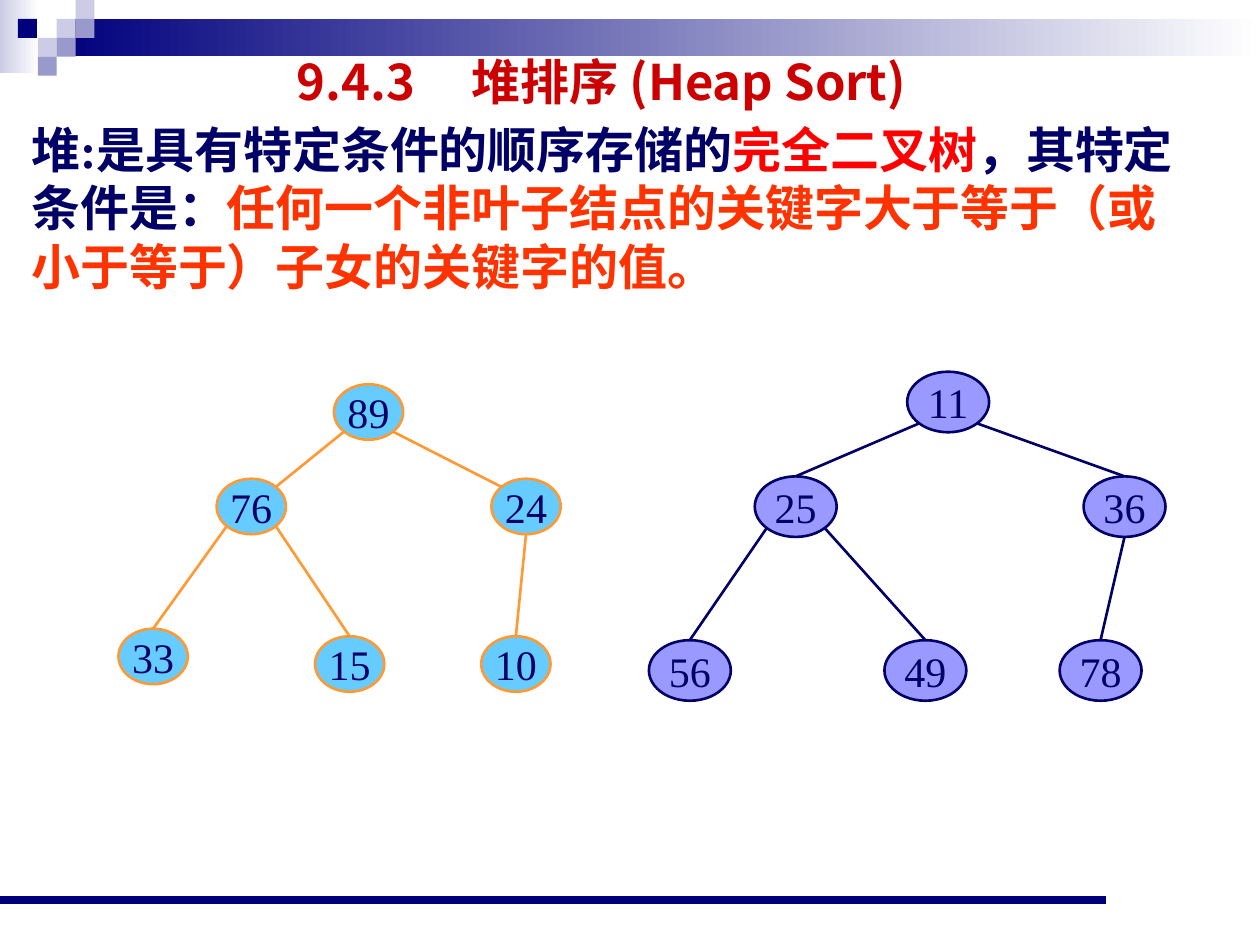
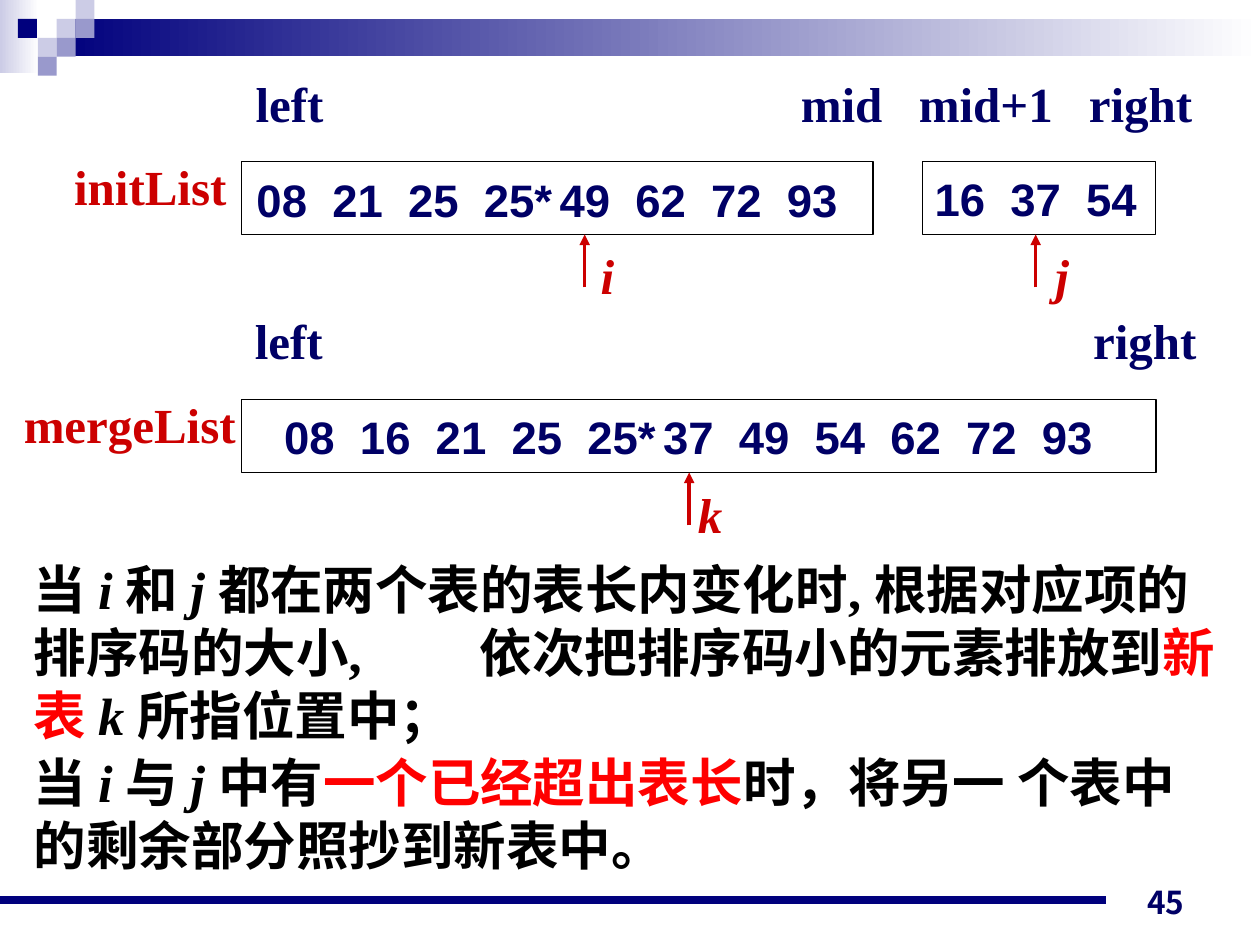
from lxml import etree
from pptx import Presentation
from pptx.dml.color import RGBColor
from pptx.enum.lang import MSO_LANGUAGE_ID
from pptx.enum.shapes import MSO_CONNECTOR, MSO_SHAPE
from pptx.enum.text import MSO_ANCHOR, PP_ALIGN
from pptx.oxml.ns import qn
from pptx.util import Pt

NAVY = RGBColor(0x00, 0x00, 0x7D)
INK = RGBColor(0x00, 0x00, 0x66)
LAVENDER = RGBColor(0xCC, 0xCC, 0xE6)
MAUVE = RGBColor(0x99, 0x99, 0xCC)
WHITE = RGBColor(0xFF, 0xFF, 0xFF)
BLACK = RGBColor(0x00, 0x00, 0x00)
CRIMSON = RGBColor(0xCC, 0x00, 0x00)
RED = RGBColor(0xFF, 0x00, 0x00)
VERMILION = RGBColor(0xFF, 0x33, 0x00)
SKY = RGBColor(0x66, 0xCC, 0xFF)
ORANGE = RGBColor(0xFF, 0x99, 0x33)
VIOLET = RGBColor(0x99, 0x99, 0xFF)

SERIF, SANS, CJK = "Times New Roman", "Arial", "Noto Sans CJK JP"

# Header: gradient bands (left, top, width, height, start colour), then tiles (column, row, colour)
BANDS = [(0, 0, 22.3, 41.8, LAVENDER), (32.4, 10.8, 687.6, 21.4, NAVY)]
TILE = 10.8
TILES = [(3, 1, LAVENDER), (4, 0, LAVENDER), (4, 1, MAUVE), (2, 2, LAVENDER),
         (0.95, 1, NAVY), (3, 2, MAUVE), (2, 3, MAUVE)]

# Slide 1: spans are (text, colour)
HEAP_TITLE = "\t9.4.3\t堆排序 (Heap Sort)"
HEAP_TITLE_TABS = [151.7, 251.7]
HEAP_DEFINITION = [
    ("堆:是具有特定条件的顺序存储的", INK),
    ("完全二叉树", RED),
    ("，其特定条件是：", INK),
    ("任何一个非叶子结点的关键字大于等于（或小于等于）子女的关键字的值。", VERMILION),
]
# Nodes map a key to its left and top; edges are (parent, side, child, side)
HEAPS = [
    dict(size=(39.6, 31.7), fill=SKY, line=ORANGE,
         nodes={"89": (190.8, 219.6), "76": (123.8, 273.6), "24": (280.8, 273.6),
                "33": (67.7, 359.3), "15": (180, 363.6), "10": (275, 363.6)},
         edges=[("89", "bottom left", "76", "top right"), ("76", "bottom left", "33", "top"),
                ("76", "bottom right", "15", "top"), ("89", "bottom right", "24", "top left"),
                ("24", "bottom", "10", "top")]),
    dict(size=(46.8, 34.6), fill=VIOLET, line=INK,
         nodes={"11": (518.4, 212.4), "25": (431.3, 272.2), "36": (619.2, 272.2),
                "49": (505.4, 365.8), "78": (605.5, 365.8), "56": (370.8, 365.8)},
         edges=[("25", "bottom left", "56", "top"), ("25", "bottom right", "49", "top"),
                ("11", "bottom left", "25", "top"), ("11", "bottom right", "36", "top"),
                ("36", "bottom", "78", "top")]),
]
# Points on an ellipse, as fractions of its width and height
SIDES = {"top": (0.5, 0), "bottom": (0.5, 1),
         "top left": (0.146, 0.146), "top right": (0.854, 0.146),
         "bottom left": (0.146, 0.854), "bottom right": (0.854, 0.854)}

# Slide 2
PAGE_NUMBER = "45"
KEY_PITCH = 43.3
# (keys, left, top, width, left inset, top nudge)
LISTS = [
    ("08 21 25 25* 49 62 72 93", 138.2, 92.2, 360.8, 8.4, 2),
    ("16 37 54", 527, 92.2, 133.2, 7.2, 0),
    ("08 16 21 25 25* 37 49 54 62 72 93", 138.2, 228.2, 522.4, 24.2, 0),
]
LIST_HEIGHT = 41.8
# (text, left, top, width, colour, italic)
LABELS = [
    ("left", 139, 38.2, 60, INK, False),
    ("mid", 450.6, 38.2, 70, INK, False),
    ("mid+1", 518, 38.2, 100, INK, False),
    ("right", 615.2, 38.2, 80, INK, False),
    ("initList", 35.3, 85.7, 101.5, CRIMSON, False),
    ("i", 336.2, 136.8, 28, CRIMSON, True),
    ("j", 596, 136.8, 28, CRIMSON, True),
    ("left", 138.5, 174.2, 60, INK, False),
    ("right", 617.6, 174.2, 80, INK, False),
    ("mergeList", 6.5, 221.8, 135.4, CRIMSON, False),
    ("k", 391.7, 273.6, 28, CRIMSON, True),
]
POINTERS = [(334.1, 134), (591.8, 134), (393.8, 270)]  # arrow tips
POINTER_LENGTH = 30.2
# Spans are (text, colour, italic)
MERGE_RULES = [
    [("当 ", BLACK, False), ("i ", BLACK, True), ("和 ", BLACK, False), ("j ", BLACK, True),
     ("都在两个表的表长内变化时, 根据对应项的排序码的大小,\t依次把排序码小的元素排放到", BLACK, False),
     ("新表 ", RED, False), ("k ", BLACK, True), ("所指位置中；", BLACK, False)],
    [("当 ", BLACK, False), ("i ", BLACK, True), ("与 ", BLACK, False), ("j ", BLACK, True),
     ("中有", BLACK, False), ("一个已经超出表长", RED, False),
     ("时，将另一 个表中的剩余部分照抄到新表中。", BLACK, False)],
]
RULES_TABS = [254.9]


def add_span(para, text, size, colour, font=SERIF, bold=True, italic=False):
    span = para.add_run()
    span.text = text
    span.font.size = Pt(size)
    span.font.name = font
    span.font.bold = bold
    span.font.italic = italic
    span.font.color.rgb = colour
    span.font.language_id = MSO_LANGUAGE_ID.SIMPLIFIED_CHINESE
    east_asian = etree.SubElement(span.font._element, qn("a:ea"))
    east_asian.set("typeface", CJK)


def set_tabs(para, stops):
    tab_list = etree.SubElement(para._p.get_or_add_pPr(), qn("a:tabLst"))
    for stop in stops:
        etree.SubElement(tab_list, qn("a:tab"), pos=str(Pt(stop)), algn="l")


def add_box(page, left, top, width, height):
    box = page.shapes.add_textbox(Pt(left), Pt(top), Pt(width), Pt(height))
    box.text_frame.word_wrap = True
    return box


def add_figure(page, kind, left, top, width, height, fill, line=None, weight=0.75):
    """Add a preset shape without shadow, outlined only if a line colour is given."""
    figure = page.shapes.add_shape(kind, Pt(left), Pt(top), Pt(width), Pt(height))
    figure.shadow.inherit = False
    figure.fill.solid()
    figure.fill.fore_color.rgb = fill
    if line is None:
        figure.line.fill.background()
    else:
        figure.line.color.rgb = line
        figure.line.width = Pt(weight)
    return figure


def add_line(page, start, end, colour, weight):
    line = page.shapes.add_connector(MSO_CONNECTOR.STRAIGHT, *map(Pt, start + end))
    line.line.color.rgb = colour
    line.line.width = Pt(weight)
    etree.SubElement(line._element.spPr, qn("a:effectLst"))
    return line


def add_page(deck):
    """Add a blank slide with the shared header bands, tiles and footer rule."""
    page = deck.slides.add_slide(deck.slide_layouts[6])
    for left, top, width, height, colour in BANDS:
        band = add_figure(page, MSO_SHAPE.RECTANGLE, left, top, width, height, colour)
        band.fill.gradient()
        band.fill.gradient_angle = 0
        for stop, shade in zip(band.fill.gradient_stops, (colour, WHITE)):
            stop.color.rgb = shade
    for column, row, colour in TILES:
        add_figure(page, MSO_SHAPE.RECTANGLE, column * TILE, row * TILE, TILE, TILE, colour)
    add_line(page, (0, 514.1), (632.2, 514.1), NAVY, 4.5)
    return page


def add_heap(page, heap):
    width, height = heap["size"]
    circles = {}
    for key, (left, top) in heap["nodes"].items():
        circle = add_figure(page, MSO_SHAPE.OVAL, left, top, width, height,
                            heap["fill"], heap["line"], 1.5)
        frame = circle.text_frame
        frame.word_wrap = False
        frame.vertical_anchor = MSO_ANCHOR.MIDDLE
        para = frame.paragraphs[0]
        para.alignment = PP_ALIGN.CENTER
        add_span(para, key, 24, INK, bold=False)
        circles[key] = circle

    def point(key, side):
        left, top = heap["nodes"][key]
        across, down = SIDES[side]
        return left + across * width, top + down * height

    for parent, parent_side, child, child_side in heap["edges"]:
        edge = add_line(page, point(parent, parent_side), point(child, child_side),
                        heap["line"], 1.5)
        if child_side == "top":
            edge.end_connect(circles[child], 0)


def build_heap_page(deck):
    page = add_page(deck)
    frame = add_box(page, 10.8, 25.8, 671.8, 146.9).text_frame
    title, definition = frame.paragraphs[0], frame.add_paragraph()
    for para in (title, definition):
        para.line_spacing = Pt(33.6)
    definition.space_before = Pt(5.2)
    set_tabs(title, HEAP_TITLE_TABS)
    add_span(title, HEAP_TITLE, 28, CRIMSON, CJK)
    for text, colour in HEAP_DEFINITION:
        add_span(definition, text, 28, colour)
    for heap in HEAPS:
        add_heap(page, heap)


def build_merge_page(deck):
    page = add_page(deck)
    number = add_box(page, 516.2, 493.6, 167.8, 36).text_frame
    number.vertical_anchor = MSO_ANCHOR.BOTTOM
    number.paragraphs[0].alignment = PP_ALIGN.RIGHT
    add_span(number.paragraphs[0], PAGE_NUMBER, 18, INK, CJK)

    for keys, left, top, width, inset, nudge in LISTS:
        row = add_figure(page, MSO_SHAPE.RECTANGLE, left, top, width, LIST_HEIGHT, WHITE, BLACK)
        frame = row.text_frame
        frame.vertical_anchor = MSO_ANCHOR.MIDDLE
        frame.margin_left = Pt(inset)
        frame.margin_top = Pt(3.6 + nudge)
        para = frame.paragraphs[0]
        para.alignment = PP_ALIGN.LEFT
        keys = keys.split()
        set_tabs(para, [KEY_PITCH * place for place in range(1, len(keys))])
        add_span(para, "\t".join(keys), 26, INK, SANS)

    for text, left, top, width, colour, italic in LABELS:
        label = add_box(page, left, top, width, 41)
        add_span(label.text_frame.paragraphs[0], text, 28, colour, italic=italic)

    for x, tip in POINTERS:
        pointer = add_line(page, (x, tip + POINTER_LENGTH), (x, tip), CRIMSON, 2)
        etree.SubElement(pointer.line._get_or_add_ln(), qn("a:tailEnd"), type="triangle")

    frame = add_box(page, 12.2, 315, 695.5, 210.2).text_frame
    for index, spans in enumerate(MERGE_RULES):
        para = frame.add_paragraph() if index else frame.paragraphs[0]
        para.line_spacing = Pt(36)
        if index:
            para.space_before = Pt(1.9)
        set_tabs(para, RULES_TABS)
        for text, colour, italic in spans:
            add_span(para, text, 30, colour, italic=italic)


def main():
    deck = Presentation()
    deck.slide_width, deck.slide_height = Pt(720), Pt(540)
    build_heap_page(deck)
    build_merge_page(deck)
    deck.save("out.pptx")


if __name__ == "__main__":
    main()
